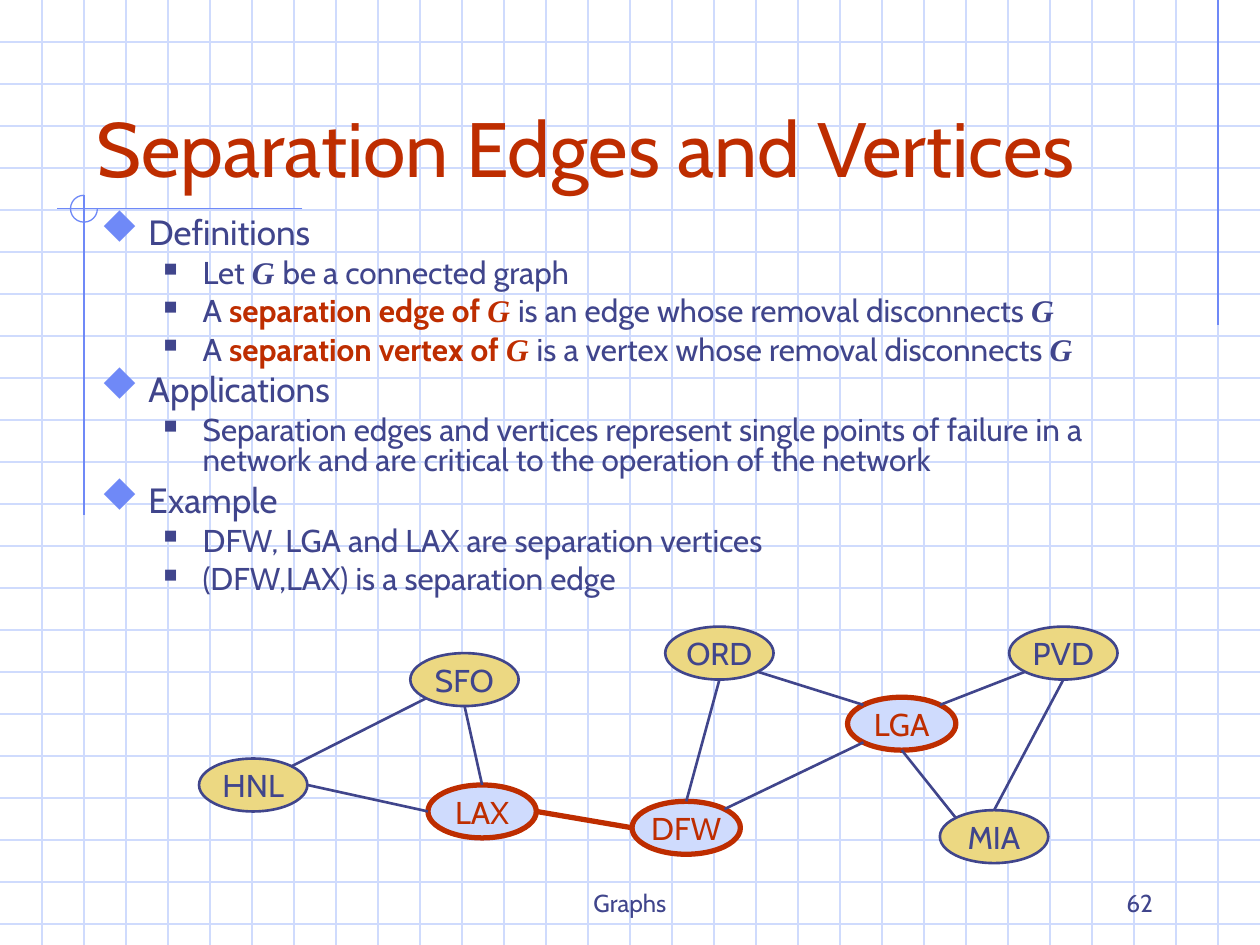
from dataclasses import dataclass
from math import cos, radians, sin

from lxml import etree
from pptx import Presentation, util as u
from pptx.dml.color import RGBColor
from pptx.enum import shapes, text
from pptx.oxml import ns

COLORS = {"grid": "CFDBFD", "accent": "6F89F7", "ink": "40458C", "red": "BE2D00",
          "sand": "ECD882", "ice": "CFDBFD"}
COLUMNS, ROWS = 30, 22.5  # the background grid, three cells to the inch
NODE_WIDTH, NODE_HEIGHT = 2.58, 1.26
COMPASS = {"E": 0, "SE": 45, "S": 90, "SW": 135, "W": 180, "NW": 225, "N": 270, "NE": 315}


@dataclass
class Node:
    column: float
    row: float
    separates: bool = False

    def site(self, direction: str) -> tuple[float, float]:
        angle = radians(COMPASS[direction])
        return (self.column + NODE_WIDTH / 2 * cos(angle),
                self.row + NODE_HEIGHT / 2 * sin(angle))


@dataclass
class Edge:
    start: str
    start_site: str
    end: str
    end_site: str
    separates: bool = False


@dataclass
class Bullet:
    character: str
    color: str
    percent: int
    indent: float
    hanging: float
    size: int
    space: float


# In Wingdings "u" is a diamond and "n" a square
BULLETS = [Bullet("u", "accent", 110, 0.38, 0.38, 20, 5),
           Bullet("n", "ink", 60, 0.81, 0.31, 18, 4.5)]

RUN_STYLES = {
    "plain": {"name": "Cabin", "bold": False, "italic": False, "color": "ink"},
    "math": {"name": "Times New Roman", "bold": True, "italic": True, "color": "ink"},
    "term": {"name": "Cabin", "bold": True, "italic": False, "color": "red"},
    "red math": {"name": "Times New Roman", "bold": True, "italic": True, "color": "red"},
}


def definition(kind: str, description: str) -> list[tuple[str, str]]:
    return [("A ", "plain"), (f"separation {kind} of ", "term"), ("G ", "red math"),
            (f"is {description} whose removal disconnects ", "plain"), ("G", "math")]


OUTLINE = [
    (0, [("Definitions", "plain")]),
    (1, [("Let ", "plain"), ("G ", "math"), ("be a connected graph", "plain")]),
    (1, definition("edge", "an edge")),
    (1, definition("vertex", "a vertex")),
    (0, [("Applications", "plain")]),
    (1, [("Separation edges and vertices represent single points of failure in a "
          "network and are critical to the operation of the network", "plain")]),
    (0, [("Example", "plain")]),
    (1, [("DFW, LGA and LAX are separation vertices", "plain")]),
    (1, [("(DFW,LAX) is a separation edge", "plain")]),
]

NODES = {
    "ORD": Node(17.13, 15.55), "PVD": Node(25.32, 15.55),
    "MIA": Node(23.67, 19.92), "DFW": Node(16.34, 19.71, True),
    "SFO": Node(11.06, 16.18), "LAX": Node(11.48, 19.32, True),
    "LGA": Node(21.47, 17.23, True), "HNL": Node(6.03, 18.69),
}

EDGES = [
    Edge("DFW", "N", "ORD", "S"), Edge("DFW", "NE", "LGA", "SW"),
    Edge("LGA", "NE", "PVD", "SW"), Edge("HNL", "E", "LAX", "W"),
    Edge("SFO", "S", "LAX", "N"), Edge("LGA", "S", "MIA", "NW"),
    Edge("LGA", "NW", "ORD", "SE"), Edge("LAX", "E", "DFW", "W", True),
    Edge("HNL", "NE", "SFO", "SW"), Edge("MIA", "N", "PVD", "S"),
]


def cells(*counts: float) -> list[int]:
    return [u.Inches(count / 3) for count in counts]


def rgb(name: str) -> RGBColor:
    return RGBColor.from_string(COLORS[name])


def set_line(shape, color: str, width: float) -> None:
    shape.line.color.rgb = rgb(color)
    shape.line.width = u.Pt(width)


def draw_line(container, start, end, color: str, width: float = 0.75) -> None:
    connector = container.add_connector(shapes.MSO_CONNECTOR.STRAIGHT, *cells(*start, *end))
    set_line(connector, color, width)
    etree.SubElement(connector._element.spPr, ns.qn("a:effectLst"))


def add_run(paragraph, content: str, size: float, style: str = "plain",
            color: str | None = None) -> None:
    run = paragraph.add_run()
    run.text = content
    values = dict(RUN_STYLES[style], size=u.Pt(size))
    run.font.color.rgb = rgb(color or values.pop("color"))
    values.pop("color", None)
    for attribute, value in values.items():
        setattr(run.font, attribute, value)


def add_bullet(paragraph, bullet: Bullet) -> None:
    properties = paragraph._p.get_or_add_pPr()
    properties.set("marL", str(u.Inches(bullet.indent)))
    properties.set("indent", str(-u.Inches(bullet.hanging)))
    color = etree.SubElement(properties, ns.qn("a:buClr"))
    etree.SubElement(color, ns.qn("a:srgbClr"), val=COLORS[bullet.color])
    etree.SubElement(properties, ns.qn("a:buSzPct"), val=str(bullet.percent * 1000))
    etree.SubElement(properties, ns.qn("a:buFont"), typeface="Wingdings",
                     pitchFamily="2", charset="2")
    etree.SubElement(properties, ns.qn("a:buChar"), char=bullet.character)


def draw_background(slide) -> None:
    container = slide.shapes.add_group_shape().shapes
    for row in range(1, int(ROWS) + 1):
        draw_line(container, (0, row), (COLUMNS, row), "grid")
    for column in range(1, COLUMNS):
        draw_line(container, (column, 0), (column, ROWS), "grid")
    # Accent lines and the three-quarter circle at their crossing
    draw_line(container, (29, 0), (29, 7.74), "accent")
    draw_line(container, (7.2, 4.97), (1.35, 4.97), "accent")
    draw_line(container, (2, 4.65), (2, 12.27), "accent")
    arc = container.add_shape(shapes.MSO_SHAPE.ARC, *cells(1.68, 4.65, 0.64, 0.64))
    arc.adjustments[0], arc.adjustments[1] = 0, 162  # 0 to 270 degrees
    arc.shadow.inherit = False
    arc.fill.background()
    set_line(arc, "accent", 0.75)


def draw_title(slide) -> None:
    title = slide.shapes.title
    title.left, title.top, title.width, title.height = cells(2, 1, 25.5, 3.75)
    slide.shapes._spTree.append(title._element)  # in front of the grid
    frame = title.text_frame
    frame.vertical_anchor = text.MSO_ANCHOR.BOTTOM
    frame.auto_size = text.MSO_AUTO_SIZE.NONE
    frame.paragraphs[0].alignment = text.PP_ALIGN.LEFT
    add_run(frame.paragraphs[0], "Separation Edges and Vertices", 44, color="red")


def draw_outline(slide) -> None:
    frame = slide.shapes.add_textbox(*cells(2.1, 5.07, 25.95, 10.5)).text_frame
    frame.word_wrap = True
    for index, (level, runs) in enumerate(OUTLINE):
        paragraph = frame.add_paragraph() if index else frame.paragraphs[0]
        bullet = BULLETS[level]
        add_bullet(paragraph, bullet)
        paragraph.level = level
        paragraph.line_spacing = 0.8
        paragraph.space_before = u.Pt(bullet.space if index else 0)
        for content, style in runs:
            add_run(paragraph, content, bullet.size, style)


def draw_node(slide, name: str, node: Node) -> None:
    ellipse = slide.shapes.add_shape(
        shapes.MSO_SHAPE.OVAL, *cells(node.column - NODE_WIDTH / 2, node.row - NODE_HEIGHT / 2,
                                      NODE_WIDTH, NODE_HEIGHT))
    color = "red" if node.separates else "ink"
    ellipse.shadow.inherit = False
    ellipse.fill.solid()
    ellipse.fill.fore_color.rgb = rgb("ice" if node.separates else "sand")
    set_line(ellipse, color, 3 if node.separates else 1.5)
    frame = ellipse.text_frame
    frame.word_wrap = False
    frame.vertical_anchor = text.MSO_ANCHOR.MIDDLE
    frame.paragraphs[0].alignment = text.PP_ALIGN.CENTER
    add_run(frame.paragraphs[0], name, 18, color=color)


def draw_footer(slide, content: str, column: float, width: float, alignment) -> None:
    frame = slide.shapes.add_textbox(*cells(column, 20.5, width, 1.5)).text_frame
    frame.word_wrap = True
    frame.vertical_anchor = text.MSO_ANCHOR.BOTTOM
    frame.paragraphs[0].alignment = alignment
    add_run(frame.paragraphs[0], content, 14)


def main() -> None:
    presentation = Presentation()
    presentation.slide_width, presentation.slide_height = cells(COLUMNS, ROWS)
    slide = presentation.slides.add_slide(presentation.slide_layouts[5])
    draw_background(slide)
    draw_title(slide)
    draw_outline(slide)
    # Airport graph
    for name, node in NODES.items():
        draw_node(slide, name, node)
    for edge in EDGES:
        draw_line(slide.shapes, NODES[edge.start].site(edge.start_site),
                  NODES[edge.end].site(edge.end_site),
                  "red" if edge.separates else "ink", 3 if edge.separates else 1.5)
    draw_footer(slide, "Graphs", 10.25, 9.5, text.PP_ALIGN.CENTER)
    draw_footer(slide, "62", 21.5, 6.25, text.PP_ALIGN.RIGHT)
    presentation.save("out.pptx")


if __name__ == "__main__":
    main()
